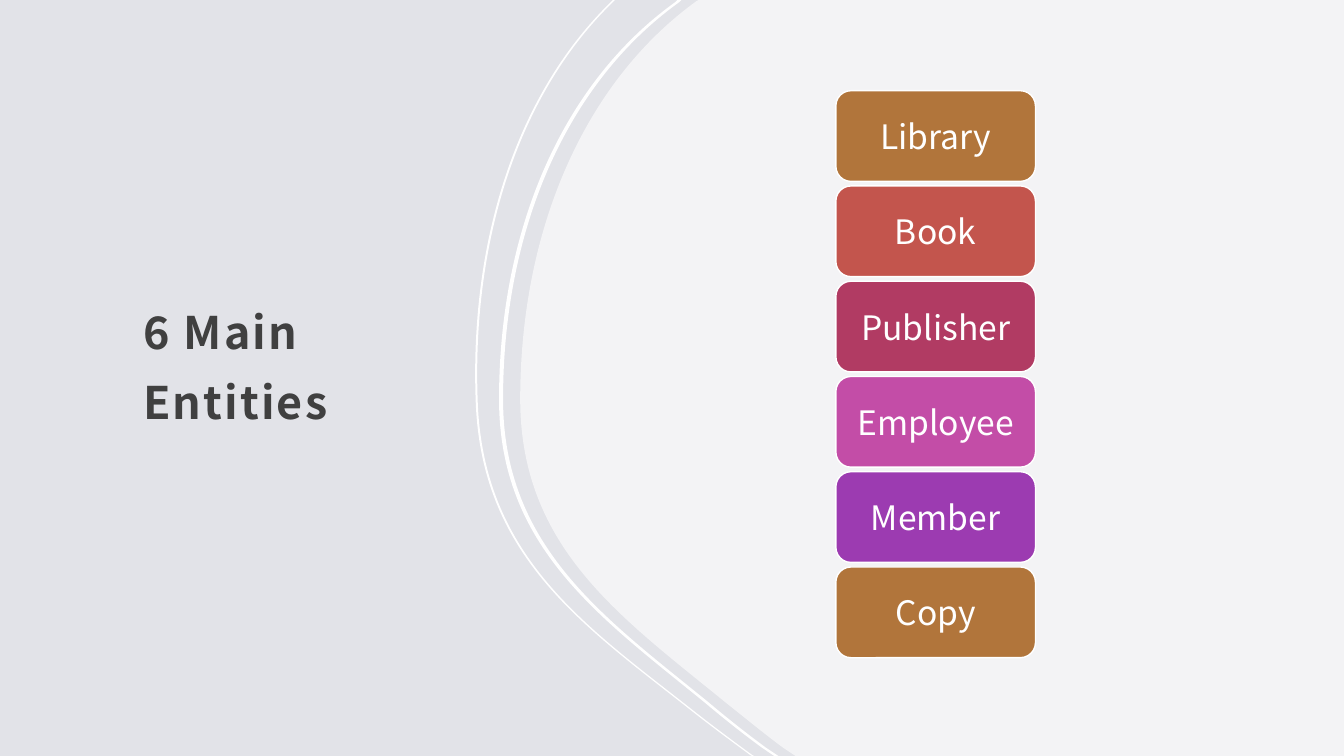
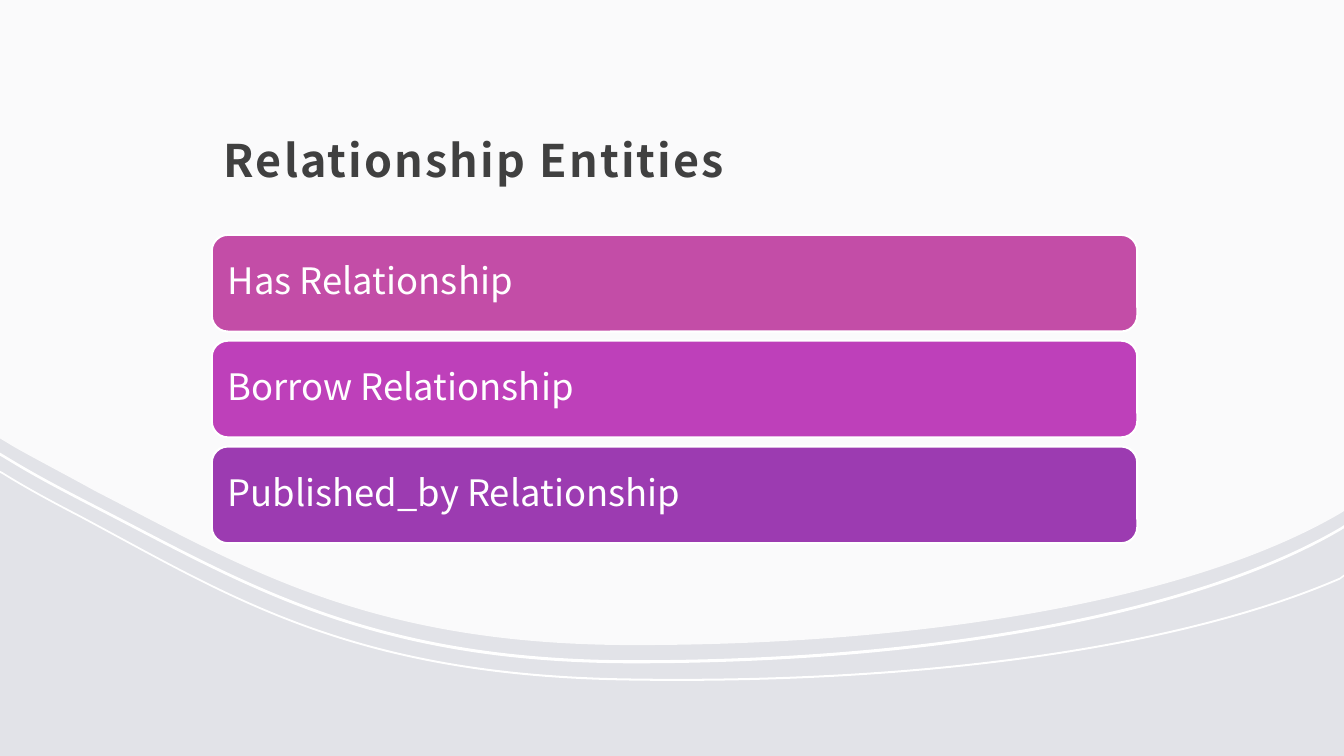
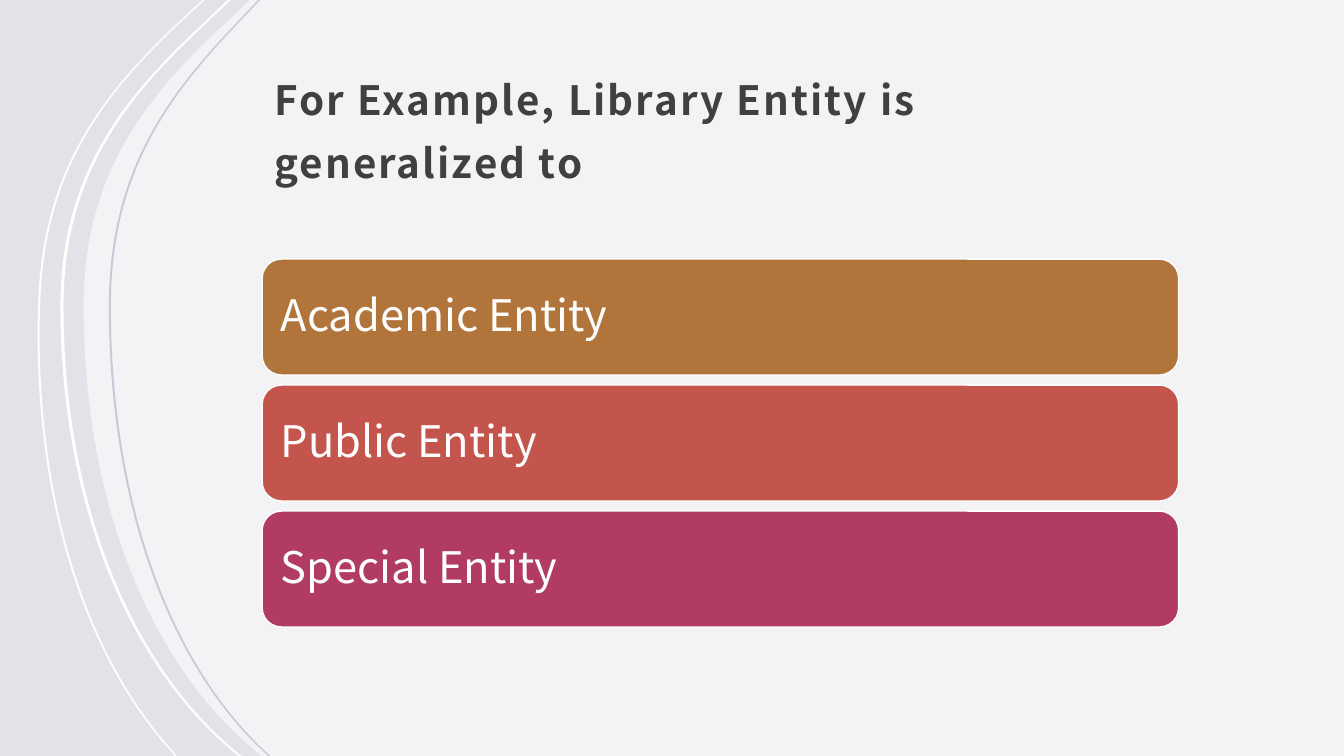
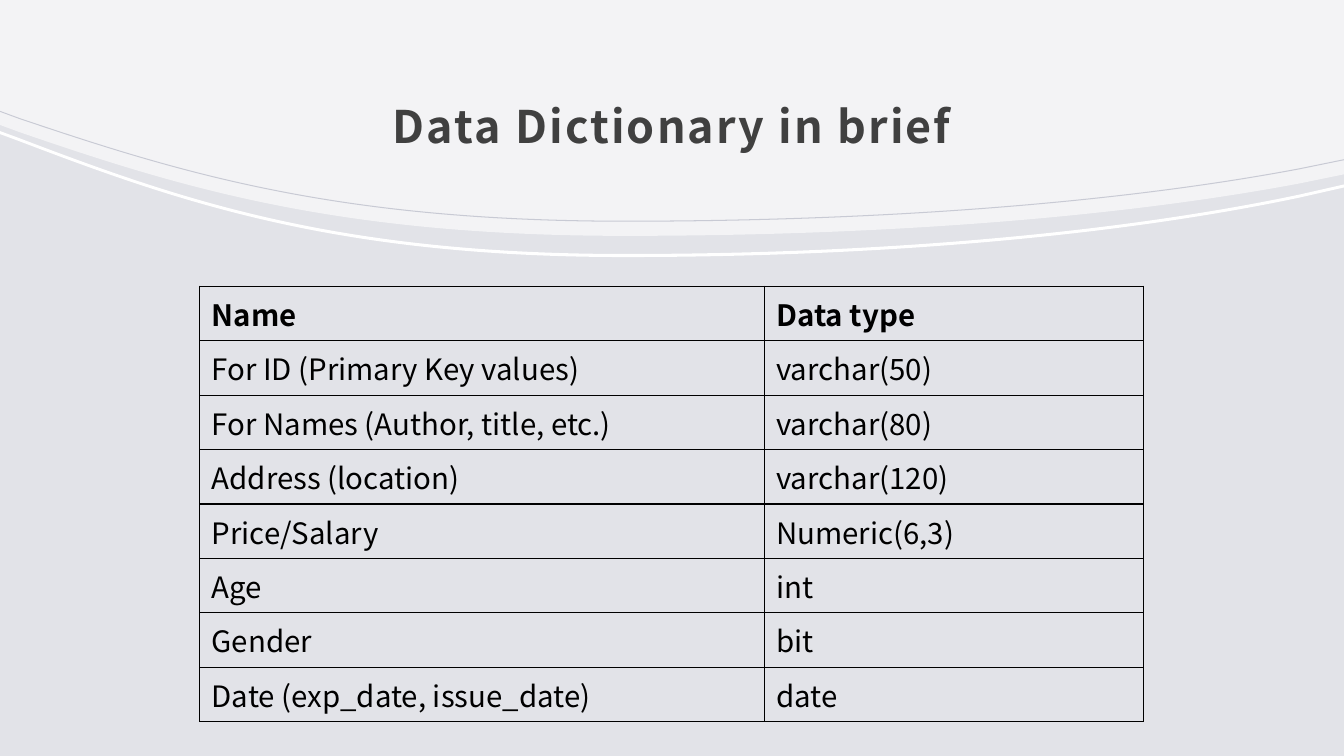
from dataclasses import dataclass

from lxml.etree import SubElement
from pptx import Presentation
from pptx.dml.color import RGBColor
from pptx.enum.shapes import MSO_SHAPE
from pptx.enum.text import MSO_ANCHOR, PP_ALIGN
from pptx.oxml.ns import qn
from pptx.util import Inches, Pt


@dataclass(frozen=True)
class Theme:
    font: str = "Noto Sans CJK JP"
    back: str = "E2E3E8"
    white: str = "FFFFFF"
    grey: str = "C8CAD4"
    title: str = "404040"
    black: str = "000000"
    ochre: str = "B1753B"
    red: str = "C3554D"
    crimson: str = "B13B63"
    pink: str = "C34DA7"
    magenta: str = "BE40BA"
    purple: str = "9C3BB1"
    title_size: float = 32
    long_title_size: float = 28.8
    table_size: float = 21


T = Theme()
W, H = 13.33, 7.5

ENTITIES = {
    "title": dict(text="6 Main Entities", at=(1.3, 1.21, 3.3, 4.68)),
    "corners": [(W, H), (W, 0)],
    "opacity": 60,
    "edge": [(6.93, 0), (6.91, 0.01), (5.79, 0.82, 5.16, 2.29, 5.16, 3.96),
             (5.16, 5.44, 6.17, 6.13, 7.21, 6.98),
             (7.4, 7.13, 7.58, 7.28, 7.77, 7.42), (7.89, 7.5)],
    "ribbons": [
        (T.white, (0.02, 0),
         [(6.08, 0), (6.05, 0.03), (5.12, 0.94, 4.65, 2.4, 4.72, 4.02),
          (4.79, 5.55, 5.82, 6.23, 6.87, 7.06),
          (7.06, 7.21, 7.25, 7.35, 7.44, 7.49), (7.46, 7.5)]),
        (T.white, (0.04, 0),
         [(6.72, 0), (6.7, 0.02), (5.57, 0.83, 4.95, 2.29, 4.95, 3.96),
          (4.95, 5.43, 5.96, 6.13, 6.99, 6.97),
          (7.18, 7.13, 7.37, 7.28, 7.56, 7.42), (7.68, 7.5)]),
    ],
    "boxes": dict(
        at=(8.29, 0.9, 1.98, 0.9), gap=0.045, size=24, line=1, inset=0,
        align=PP_ALIGN.CENTER, spacing=1.0,
        items=[("Library", T.ochre), ("Book", T.red),
               ("Publisher", T.crimson), ("Employee", T.pink),
               ("Member", T.purple), ("Copy", T.ochre)]),
}

RELATIONSHIPS = {
    "title": dict(text="Relationship Entities", at=(2.1, 0.48, 9.18, 1.47),
                  anchor=MSO_ANCHOR.BOTTOM),
    "corners": [(0, 0), (W, 0)],
    "opacity": 85,
    "edge": [(W, 5.07), (13.3, 5.09), (11.87, 5.93, 9.26, 6.4, 6.29, 6.4),
             (3.67, 6.4, 2.44, 5.64, 0.94, 4.87),
             (0.67, 4.72, 0.4, 4.58, 0.15, 4.44), (0, 4.35)],
    "ribbons": [
        (T.white, (0, 0.02),
         [(W, 5.7), (13.29, 5.73), (11.67, 6.43, 9.07, 6.78, 6.18, 6.73),
          (3.46, 6.68, 2.27, 5.9, 0.79, 5.11),
          (0.52, 4.97, 0.26, 4.83, 0.02, 4.68), (0, 4.67)]),
        (T.white, (0, 0.03),
         [(W, 5.21), (13.3, 5.23), (11.87, 6.07, 9.26, 6.55, 6.29, 6.55),
          (3.67, 6.55, 2.44, 5.78, 0.94, 5.01),
          (0.67, 4.87, 0.4, 4.73, 0.15, 4.58), (0, 4.49)]),
    ],
    "boxes": dict(
        at=(2.1, 2.33, 9.18, 0.96), gap=0.09, size=26, line=1.5, inset=0.11,
        align=PP_ALIGN.LEFT, spacing=0.9,
        items=[("Has Relationship", T.pink),
               ("Borrow Relationship", T.magenta),
               ("Published_by Relationship", T.purple)]),
}

EXAMPLE = {
    "title": dict(text="For Example, Library Entity is generalized to",
                  at=(2.6, 0.48, 9.18, 1.47), anchor=MSO_ANCHOR.BOTTOM,
                  size=T.long_title_size),
    "corners": [(W, H), (W, 0)],
    "opacity": 60,
    "edge": [(2.48, 0), (2.11, 0.35), (1.39, 1.04, 0.83, 1.79, 0.83, 3.04),
             (0.83, 4.92, 1.45, 6.57, 2.57, 7.48), (2.59, 7.5)],
    "ribbons": [
        (T.white, (0.02, 0),
         [(2.01, 0), (1.75, 0.24), (1.02, 0.93, 0.43, 1.68, 0.38, 2.97),
          (0.31, 4.8, 0.78, 6.45, 1.71, 7.47), (1.73, 7.5)]),
        (T.white, (0.03, 0),
         [(2.26, 0), (1.89, 0.35), (1.17, 1.04, 0.6, 1.79, 0.6, 3.04),
          (0.6, 4.92, 1.23, 6.57, 2.34, 7.48), (2.37, 7.5)]),
        (T.grey, (0.02, 0),
         [(2.56, 0), (2.23, 0.35), (1.59, 1.04, 1.08, 1.79, 1.08, 3.04),
          (1.08, 4.92, 1.64, 6.57, 2.64, 7.48), (2.66, 7.5)]),
    ],
    "boxes": dict(
        at=(2.6, 2.57, 9.09, 1.15), gap=0.1, size=31, line=1, inset=0.13,
        align=PP_ALIGN.LEFT, spacing=0.9,
        items=[("Academic Entity", T.ochre), ("Public Entity", T.red),
               ("Special Entity", T.crimson)]),
}

DICTIONARY = {
    "title": dict(text="Data Dictionary in brief", at=(1.33, 0.59, 10.67, 1.14),
                  align=PP_ALIGN.CENTER),
    "corners": [(W, 0), (0, 0)],
    "opacity": 60,
    "edge": [(0, 1.24), (0.19, 1.31), (1.79, 1.86, 3.33, 2.34, 6.2, 2.34),
             (8.75, 2.34, 11.09, 2.16, 12.89, 1.82), (W, 1.73)],
    "ribbons": [
        (T.white, (0, 0.03),
         [(0, 1.3), (0.19, 1.37), (1.79, 1.98, 3.33, 2.52, 6.2, 2.52),
          (8.75, 2.52, 11.09, 2.31, 12.89, 1.93), (W, 1.83)]),
        (T.grey, (0, 0.01),
         [(0, 1.1), (0.19, 1.17), (1.79, 1.71, 3.33, 2.19, 6.2, 2.19),
          (8.75, 2.19, 11.09, 2.01, 12.89, 1.67), (W, 1.58)]),
    ],
    "table": dict(
        at=(1.98, 2.84), cols=(5.6, 3.76), row=0.54,
        rows=[("Name", "Data type"),
              ("For ID (Primary Key values)", "varchar(50)"),
              ("For Names (Author, title, etc.)", "varchar(80)"),
              ("Address (location)", "varchar(120)"),
              ("Price/Salary", "Numeric(6,3)"),
              ("Age", "int"),
              ("Gender", "bit"),
              ("Date (exp_date, issue_date)", "date")]),
}


def rgb(color):
    return RGBColor.from_string(color)


def style(p, size, color, bold=False):
    p.font.name = T.font
    p.font.size = Pt(size)
    p.font.bold = bold
    p.font.color.rgb = rgb(color)


def set_margins(frame, left, top, right, bottom):
    frame.margin_left, frame.margin_top = Inches(left), Inches(top)
    frame.margin_right, frame.margin_bottom = Inches(right), Inches(bottom)


def pairs(segment):
    return list(zip(segment[::2], segment[1::2]))


def shifted(segments, dx, dy):
    return [tuple(v for x, y in pairs(seg) for v in (x + dx, y + dy))
            for seg in segments]


def backward(segments):
    result = [segments[-1][-2:]]
    for before, seg in zip(segments[-2::-1], segments[:0:-1]):
        points = pairs(seg)[-2::-1] + [before[-2:]]
        result.append(tuple(v for point in points for v in point))
    return result


def add_outline(s, segments, color):
    ends = [tuple(map(Inches, seg[-2:])) for seg in segments]
    builder = s.shapes.build_freeform(*ends[0])
    builder.add_line_segments(ends[1:], close=True)
    sp = builder.convert_to_shape()
    for step, seg in zip(list(sp._element.iter(qn("a:lnTo"))), segments[1:]):
        if len(seg) == 2:
            continue
        curve = SubElement(step.getparent(), qn("a:cubicBezTo"))
        for x, y in pairs(seg):
            SubElement(curve, qn("a:pt"), x=str(Inches(x) - sp.left),
                       y=str(Inches(y) - sp.top))
        step.getparent().replace(step, curve)
    sp.shadow.inherit = False
    sp.fill.solid()
    sp.fill.fore_color.rgb = rgb(color)
    sp.line.fill.background()
    return sp


def add_panel(s, edge, corners, opacity):
    sp = add_outline(s, edge + corners, T.white)
    color = next(sp._element.iter(qn("a:srgbClr")))
    SubElement(color, qn("a:alpha"), val=str(opacity * 1000))


def add_ribbon(s, color, width, edge):
    add_outline(s, edge + backward(shifted(edge, *width)), color)


def add_title(s, text, at, anchor=MSO_ANCHOR.MIDDLE, align=PP_ALIGN.LEFT,
              size=T.title_size):
    tf = s.shapes.add_textbox(*map(Inches, at)).text_frame
    tf.word_wrap = True
    tf.vertical_anchor = anchor
    set_margins(tf, 0.12, 0.12, 0.12, 0.1)
    p = tf.paragraphs[0]
    p.text = text
    p.alignment = align
    p.line_spacing = 1.3
    style(p, size, T.title, True)
    p._p.pPr.find(qn("a:defRPr")).set("spc", "150")


def add_boxes(s, at, gap, size, line, inset, align, spacing, items):
    x, y, w, h = at
    for i, (text, color) in enumerate(items):
        top = y + i * (h + gap)
        sp = s.shapes.add_shape(MSO_SHAPE.ROUNDED_RECTANGLE,
                                *map(Inches, (x, top, w, h)))
        sp.shadow.inherit = False
        sp.fill.solid()
        sp.fill.fore_color.rgb = rgb(color)
        sp.line.color.rgb = rgb(T.white)
        sp.line.width = Pt(line)
        tf = sp.text_frame
        tf.word_wrap = True
        tf.vertical_anchor = MSO_ANCHOR.MIDDLE
        set_margins(tf, inset, inset, inset, inset)
        p = tf.paragraphs[0]
        p.text = text
        p.alignment = align
        p.line_spacing = spacing
        style(p, size, T.white)


def add_borders(cell):
    tcPr = cell._tc.get_or_add_tcPr()
    for side in ("lnL", "lnR", "lnT", "lnB"):
        ln = SubElement(tcPr, qn(f"a:{side}"), w=str(Pt(1)))
        fill = SubElement(ln, qn("a:solidFill"))
        SubElement(fill, qn("a:srgbClr"), val=T.black)


def add_data_table(s, at, cols, row, rows):
    size = (sum(cols), row * len(rows))
    table = s.shapes.add_table(len(rows), len(cols),
                               *map(Inches, at + size)).table
    table.first_row = table.horz_banding = False
    for column, width in zip(table.columns, cols):
        column.width = Inches(width)
    for r, values in enumerate(rows):
        table.rows[r].height = Inches(row)
        for c, value in enumerate(values):
            cell = table.cell(r, c)
            set_margins(cell, 0.12, 0.06, 0.12, 0.06)
            add_borders(cell)
            cell.fill.background()
            p = cell.text_frame.paragraphs[0]
            p.text = value
            style(p, T.table_size, T.black, r == 0)


def add_slide(prs, content):
    s = prs.slides.add_slide(prs.slide_layouts[6])
    add_panel(s, content["edge"], content["corners"], content["opacity"])
    for ribbon in content["ribbons"]:
        add_ribbon(s, *ribbon)
    add_title(s, **content["title"])
    if "boxes" in content:
        add_boxes(s, **content["boxes"])
    if "table" in content:
        add_data_table(s, **content["table"])


def main():
    prs = Presentation()
    prs.slide_width, prs.slide_height = Inches(W), Inches(H)
    back = prs.slide_master.background.fill
    back.solid()
    back.fore_color.rgb = rgb(T.back)
    for content in (ENTITIES, RELATIONSHIPS, EXAMPLE, DICTIONARY):
        add_slide(prs, content)
    prs.save("out.pptx")


if __name__ == "__main__":
    main()
